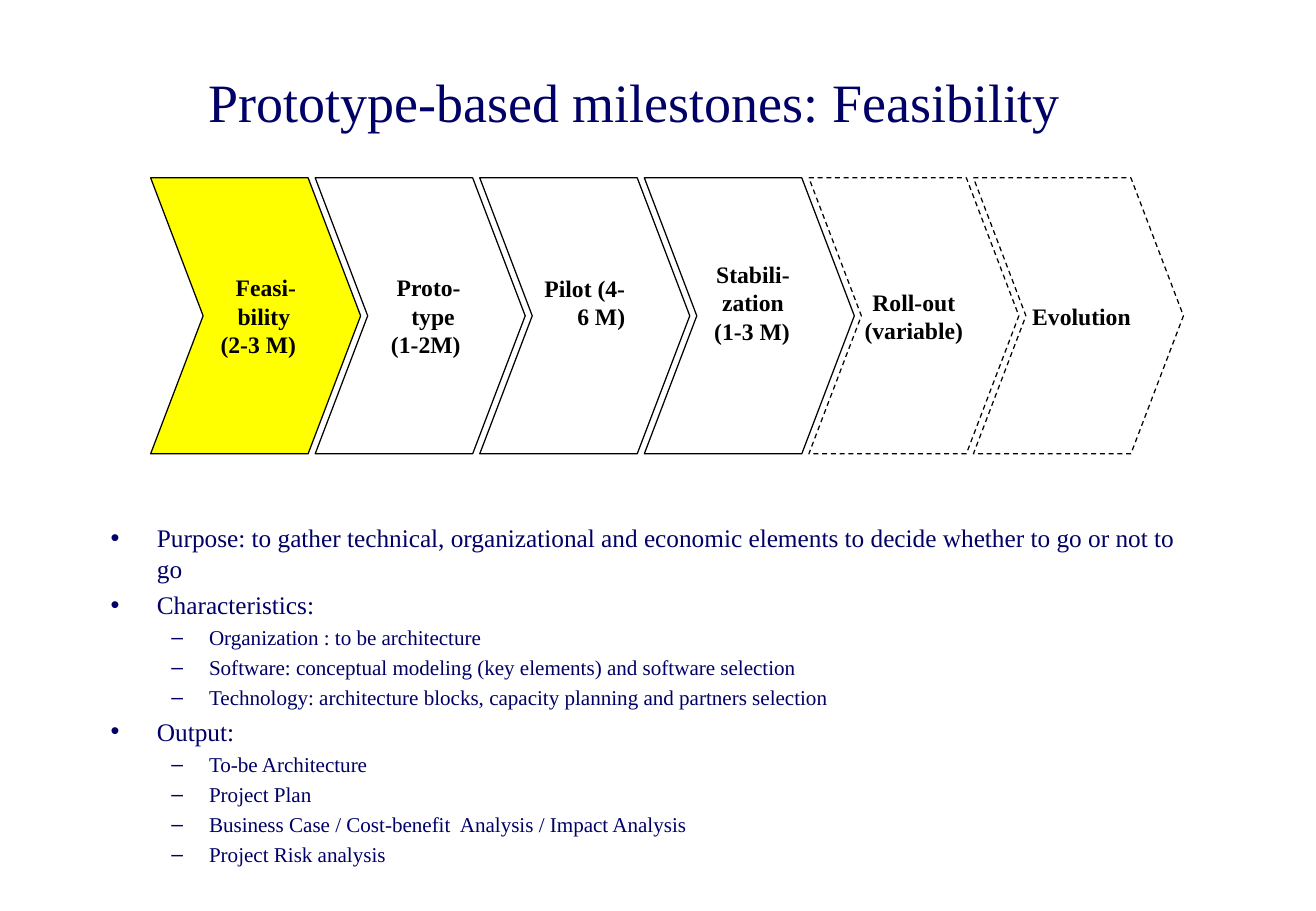
import pptx
import pptx.dml.color
import pptx.enum.dml
import pptx.enum.shapes
import pptx.enum.text
import pptx.oxml.ns
import pptx.util
from lxml import etree

Cm = pptx.util.Cm
Pt = pptx.util.Pt
Align = pptx.enum.text.PP_ALIGN
Anchor = pptx.enum.text.MSO_ANCHOR

TITLE = "Prototype-based milestones: Feasibility "

# (level, text)
BULLETS = [
    (0, "Purpose: to gather technical, organizational and economic elements to decide whether to go or not to go"),
    (0, "Characteristics:"),
    (1, "Organization : to be architecture"),
    (1, "Software: conceptual modeling (key elements) and software selection"),
    (1, "Technology: architecture blocks, capacity planning and partners selection"),
    (0, "Output:"),
    (1, "To-be Architecture"),
    (1, "Project Plan"),
    (1, "Business Case / Cost-benefit  Analysis / Impact Analysis"),
    (1, "Project Risk analysis"),
]

# Insets are left, top, right, bottom in cm; a deep bottom inset raises the label.
PHASES = [
    {"lines": ["Feasi-bility ", "(2-3 M) "], "fill": "active", "insets": (0.25, 0.13, 0.25, 0.13)},
    {"lines": ["Proto-type ", "(1-2M)"], "insets": (0.25, 0.13, 0.25, 0.13)},
    {"lines": ["Pilot (4-6 M)"], "insets": (0.25, 0.13, 0.25, 0.7)},
    {"lines": ["Stabili-zation ", "(1-3 M)"], "insets": (0, 0.13, 0.25, 0.7)},
    {"lines": ["Roll-out", "(variable)"], "align": Align.CENTER, "dashed": True, "insets": (0, 0.13, 0, 0.13)},
    {"lines": ["Evolution"], "dashed": True, "insets": (0, 0.13, 0, 0.13)},
]

THEME = {
    "font": "Times New Roman",
    "text": "000066",
    "label": "000000",
    "outline": "000000",
    "phase": "FFFFFF",
    "active": "FFFF00",
    "title_size": 32,
    "label_size": 14,
    "outline_width": 0.75,
}
LEVELS = [
    {"size": 15, "bullet": "•", "margin": 0.97, "hanging": 0.97, "before": 3.5},
    {"size": 12.5, "bullet": "–", "margin": 2.06, "hanging": 0.79, "before": 2.9},
]

SLIDE_SIZE = (27.51, 19.05)
TITLE_BOX = (2.06, 0.84, 22.71, 2.54)
BODY_BOX = (2.06, 10.8, 23.39, 6.15)
FIRST_PHASE = (3.15, 3.72, 4.39, 5.77)
PHASE_PITCH = 3.44


def color(name):
    return pptx.dml.color.RGBColor.from_string(THEME[name])


def set_attributes(target, values):
    for name, value in values.items():
        setattr(target, name, value)


def place(shape, box):
    set_attributes(shape, dict(zip(("left", "top", "width", "height"), map(Cm, box))))


def format_font(paragraph, size, color_name, bold=False):
    set_attributes(paragraph.font, {"name": THEME["font"], "size": Pt(size), "bold": bold})
    paragraph.font.color.rgb = color(color_name)


def format_frame(frame, anchor, insets=(0.25, 0.13, 0.25, 0.13)):
    margins = ("margin_left", "margin_top", "margin_right", "margin_bottom")
    set_attributes(frame, dict(zip(margins, map(Cm, insets))))
    set_attributes(frame, {
        "word_wrap": True,
        "auto_size": pptx.enum.text.MSO_AUTO_SIZE.NONE,
        "vertical_anchor": anchor,
    })


def add_lines(frame, lines):
    """Fill the frame with one paragraph per line and return the paragraphs."""
    frame.text = "\n".join(lines)
    return frame.paragraphs


def add_title(slide):
    title = slide.shapes.title
    place(title, TITLE_BOX)
    format_frame(title.text_frame, Anchor.MIDDLE)
    paragraph = add_lines(title.text_frame, [TITLE])[0]
    paragraph.alignment = Align.CENTER
    format_font(paragraph, THEME["title_size"], "text")


def add_bullets(slide):
    body = slide.placeholders[1]
    place(body, BODY_BOX)
    format_frame(body.text_frame, Anchor.TOP)
    paragraphs = add_lines(body.text_frame, [text for _, text in BULLETS])
    for index, (paragraph, (level, _)) in enumerate(zip(paragraphs, BULLETS)):
        style = LEVELS[level]
        paragraph.level = level
        properties = paragraph._p.get_or_add_pPr()
        properties.set("marL", str(Cm(style["margin"])))
        properties.set("indent", str(-Cm(style["hanging"])))
        bullet = etree.SubElement(properties, pptx.oxml.ns.qn("a:buChar"))
        bullet.set("char", style["bullet"])
        paragraph.space_before = Pt(style["before"] if index else 0)
        format_font(paragraph, style["size"], "text")


def add_phase(slide, index, phase):
    left, top, width, height = FIRST_PHASE
    chevron = slide.shapes.add_shape(
        pptx.enum.shapes.MSO_SHAPE.CHEVRON,
        Cm(left + index * PHASE_PITCH), Cm(top), Cm(width), Cm(height))
    chevron.adjustments[0] = 0.25
    chevron.shadow.inherit = False
    chevron.fill.solid()
    chevron.fill.fore_color.rgb = color(phase.get("fill", "phase"))
    chevron.line.color.rgb = color("outline")
    chevron.line.width = Pt(THEME["outline_width"])
    if phase.get("dashed"):
        chevron.line.dash_style = pptx.enum.dml.MSO_LINE.DASH
    format_frame(chevron.text_frame, Anchor.MIDDLE, phase["insets"])
    for paragraph in add_lines(chevron.text_frame, phase["lines"]):
        paragraph.alignment = phase.get("align", Align.RIGHT)
        format_font(paragraph, THEME["label_size"], "label", bold=True)


def main():
    presentation = pptx.Presentation()
    presentation.slide_width, presentation.slide_height = map(Cm, SLIDE_SIZE)
    slide = presentation.slides.add_slide(presentation.slide_layouts[1])
    add_title(slide)
    add_bullets(slide)
    for index, phase in enumerate(PHASES):
        add_phase(slide, index, phase)
    presentation.save("out.pptx")


if __name__ == "__main__":
    main()
